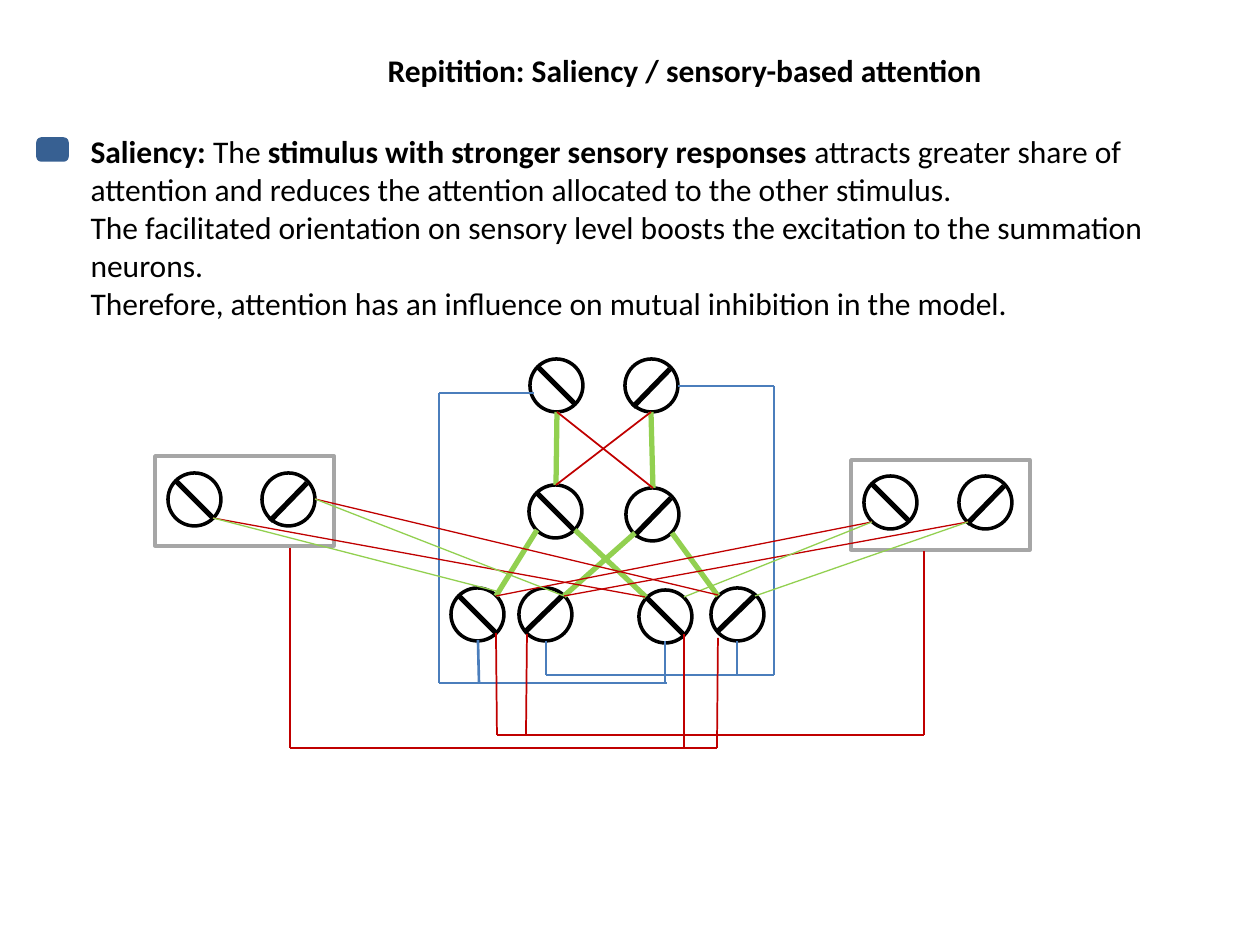
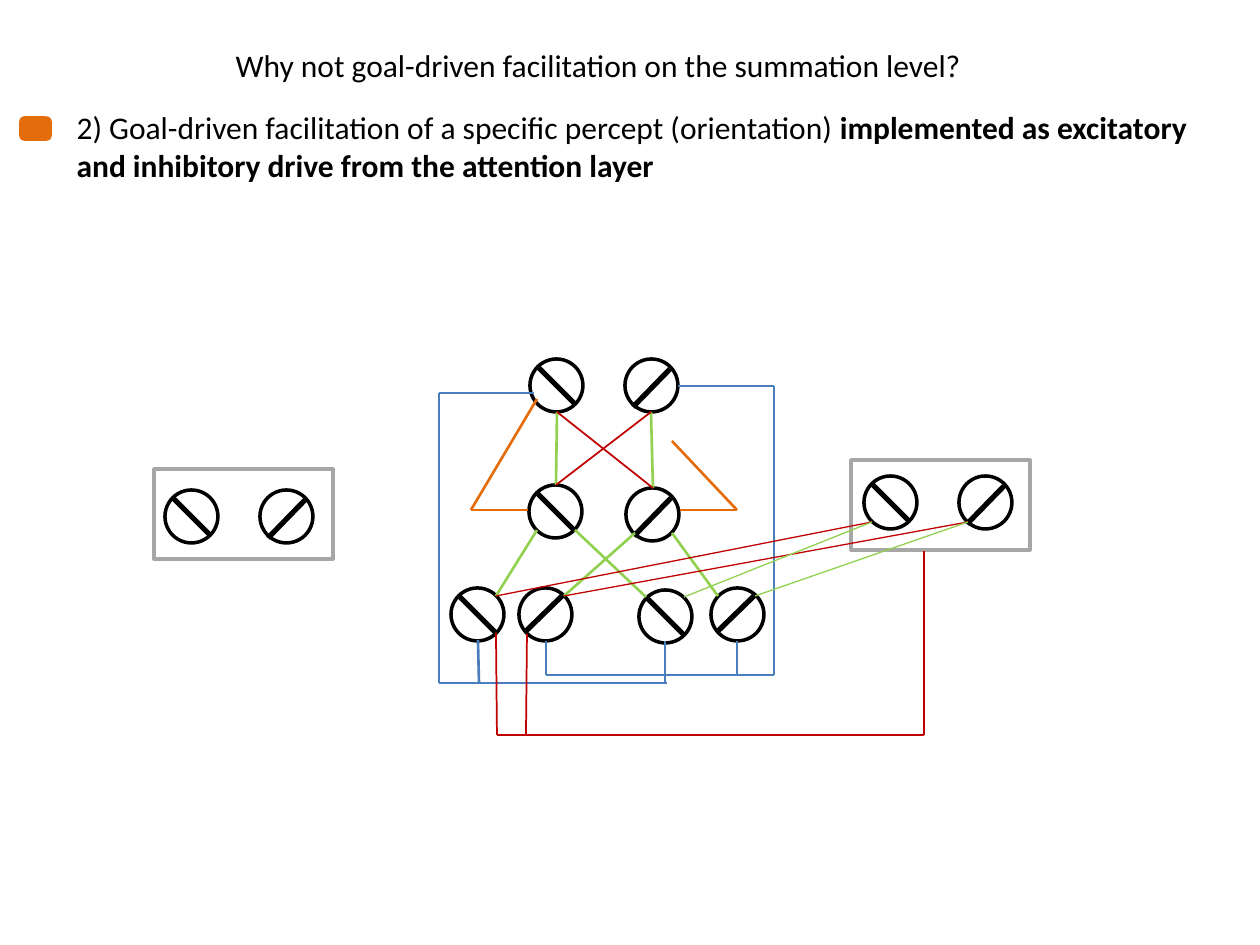
"""Build two slides on attention in a model of mutual inhibition."""
from dataclasses import dataclass
from typing import NamedTuple

from lxml.etree import SubElement
from pptx import Presentation
from pptx.dml.color import RGBColor
from pptx.enum.shapes import MSO_CONNECTOR as Connector, MSO_SHAPE as Shape
from pptx.enum.text import MSO_ANCHOR as Anchor, MSO_AUTO_SIZE as AutoSize, PP_ALIGN as Align
from pptx.oxml.ns import qn
from pptx.util import Emu, Pt

EMU_PER_PIXEL = 914400 / 126
BLACK = RGBColor(0x00, 0x00, 0x00)
WHITE = RGBColor(0xFF, 0xFF, 0xFF)
GREY = RGBColor(0xA6, 0xA6, 0xA6)
NAVY = RGBColor(0x37, 0x60, 0x92)
BLUE = RGBColor(0x4B, 0x7E, 0xBC)
RED = RGBColor(0xC0, 0x00, 0x00)
GREEN = RGBColor(0x92, 0xD0, 0x50)
ORANGE = RGBColor(0xE4, 0x6C, 0x0A)
FONT = {"name": "Calibri", "size": Pt(18)}
FRAME = {"vertical_anchor": Anchor.TOP, "auto_size": AutoSize.SHAPE_TO_FIT_TEXT}
PARAGRAPH = {"alignment": Align.LEFT, "space_before": Pt(0), "line_spacing": 1.0}
NEURON_SIZE = 53
PANEL_SIZE = (179, 90)
MARKER_SIZE = (29, 21)


class Box(NamedTuple):
    left: int
    top: int
    width: int
    height: int


class Line(NamedTuple):
    x1: int
    y1: int
    x2: int
    y2: int


class Span(NamedTuple):
    text: str
    bold: bool = False


FALLING = Line(8, 8, 45, 45)
RISING = Line(45, 10, 8, 48)
LOW_RISING = Line(45, 6, 6, 44)


@dataclass(frozen=True)
class Neuron:
    left: int
    top: int
    bar: Line


@dataclass(frozen=True)
class Wiring:
    color: RGBColor
    width: float
    lines: tuple[Line, ...]


@dataclass(frozen=True)
class Panel:
    left: int
    top: int
    neurons: tuple[Neuron, Neuron]


@dataclass(frozen=True)
class Page:
    title: Span
    title_box: Box
    body: tuple[tuple[Span, ...], ...]
    body_box: Box
    marker: tuple[int, int]
    marker_color: RGBColor
    left_panel: Panel
    excitation_width: float
    extra: tuple[Wiring, ...]


CORE_NEURONS = (
    Neuron(530, 359, FALLING), Neuron(625, 359, RISING),
    Neuron(529, 485, FALLING), Neuron(626, 488, RISING),
    Neuron(451, 588, FALLING), Neuron(639, 590, FALLING),
    Neuron(519, 588, LOW_RISING), Neuron(711, 588, LOW_RISING),
)
RIGHT_PANEL = Panel(851, 460, (Neuron(864, 476, FALLING), Neuron(959, 476, RISING)))
EXCITATION = (
    Line(496, 596, 537, 530), Line(564, 596, 635, 533), Line(575, 530, 646, 597),
    Line(718, 596, 672, 533), Line(556, 485, 557, 412), Line(653, 488, 651, 412),
)
SHARED_WIRING = (
    Wiring(BLUE, 1.5, (
        Line(774, 386, 774, 675), Line(774, 675, 737, 675), Line(737, 675, 737, 641),
        Line(737, 675, 546, 675), Line(678, 386, 774, 386), Line(546, 641, 546, 675),
        Line(439, 393, 439, 683), Line(439, 683, 486, 683), Line(479, 683, 478, 640),
        Line(476, 683, 667, 683), Line(534, 393, 439, 393), Line(665, 641, 665, 683),
    )),
    Wiring(RED, 1, (
        Line(924, 735, 497, 735), Line(496, 633, 497, 735), Line(527, 634, 526, 735),
        Line(924, 551, 924, 735), Line(653, 488, 557, 412), Line(651, 412, 556, 485),
    )),
    Wiring(RED, 0.75, (Line(564, 596, 968, 522), Line(496, 596, 872, 522))),
    Wiring(GREEN, 0.75, (Line(684, 597, 872, 522), Line(755, 596, 968, 522))),
)
LEFT_PANEL_WIRING = (
    Wiring(RED, 1, (
        Line(290, 748, 717, 748), Line(718, 638, 717, 748),
        Line(684, 634, 684, 748), Line(290, 548, 290, 748),
    )),
    Wiring(RED, 0.75, (Line(315, 499, 718, 595), Line(213, 518, 645, 597))),
    Wiring(GREEN, 0.75, (Line(213, 518, 496, 591), Line(315, 499, 564, 596))),
)
GOAL_WIRING = (
    Wiring(ORANGE, 1.5, (
        Line(672, 441, 737, 510), Line(737, 510, 680, 510),
        Line(537, 399, 471, 510), Line(471, 510, 528, 510),
    )),
)
PAGES = (
    Page(
        title=Span("Repitition: Saliency / sensory-based attention", True),
        title_box=Box(375, 45, 626, 50),
        body=(
            (Span("Saliency:", True), Span(" The "),
             Span("stimulus with stronger sensory responses ", True),
             Span("attracts greater share of attention and reduces the attention "
                  "allocated to the other stimulus.")),
            (Span("The facilitated orientation on sensory level boosts the excitation "
                  "to the summation neurons."),),
            (Span("Therefore, attention has an influence on mutual inhibition in the model."),),
        ),
        body_box=Box(78, 126, 1166, 204),
        marker=(38, 139),
        marker_color=NAVY,
        left_panel=Panel(155, 456, (Neuron(168, 473, FALLING), Neuron(262, 473, RISING))),
        excitation_width=3,
        extra=LEFT_PANEL_WIRING,
    ),
    Page(
        title=Span("Why not goal-driven facilitation on the summation level?"),
        title_box=Box(223, 40, 752, 50),
        body=(
            (Span("2) Goal-driven facilitation of a specific percept (orientation) "),
             Span("implemented as excitatory and inhibitory drive from the attention layer", True)),
        ),
        body_box=Box(64, 102, 1166, 89),
        marker=(21, 118),
        marker_color=ORANGE,
        left_panel=Panel(154, 469, (Neuron(165, 490, FALLING), Neuron(260, 490, RISING))),
        excitation_width=1.5,
        extra=GOAL_WIRING,
    ),
)


def px(pixels: float) -> Emu:
    """Turn pixels into EMU."""
    return Emu(round(pixels * EMU_PER_PIXEL))


def apply(target, values: dict) -> None:
    """Set each named attribute on the target."""
    for name, value in values.items():
        setattr(target, name, value)


def write(holder, box: Box, paragraphs, wrap: bool) -> None:
    """Place a placeholder and fill it with formatted spans."""
    apply(holder, {name: px(value) for name, value in box._asdict().items()})
    frame = holder.text_frame
    apply(frame, FRAME | {"word_wrap": wrap})
    for index, spans in enumerate(paragraphs):
        para = frame.add_paragraph() if index else frame.paragraphs[0]
        apply(para, PARAGRAPH)
        properties = para._p.get_or_add_pPr()
        properties.set("marL", "0")
        properties.set("indent", "0")
        SubElement(properties, qn("a:buNone"))
        for span in spans:
            run = para.add_run()
            run.text = span.text
            apply(run.font, FONT | {"bold": span.bold})
            run.font.color.rgb = BLACK


def add_outline(shapes, kind: Shape, box: Box, color: RGBColor, fill: RGBColor | None = None) -> None:
    """Draw a preset shape with a two-point outline."""
    shape = shapes.add_shape(kind, *map(px, box))
    shape.shadow.inherit = False
    if fill is None:
        shape.fill.background()
    else:
        shape.fill.solid()
        shape.fill.fore_color.rgb = fill
    shape.line.color.rgb = color
    shape.line.width = Pt(2)


def add_line(shapes, line: Line, color: RGBColor, width: float) -> None:
    """Draw one straight connector."""
    connector = shapes.add_connector(Connector.STRAIGHT, *map(px, line))
    connector.line.color.rgb = color
    connector.line.width = Pt(width)
    SubElement(connector._element.spPr, qn("a:effectLst"))


def add_neuron(shapes, neuron: Neuron) -> None:
    """Draw a circle with its orientation bar as a group."""
    parts = shapes.add_group_shape().shapes
    left, top, bar = neuron.left, neuron.top, neuron.bar
    add_outline(parts, Shape.OVAL, Box(left, top, NEURON_SIZE, NEURON_SIZE), BLACK, WHITE)
    add_line(parts, Line(left + bar.x1, top + bar.y1, left + bar.x2, top + bar.y2), BLACK, 3)


def add_panel(shapes, panel: Panel) -> None:
    """Draw a pair of attention neurons with their frame."""
    for neuron in panel.neurons:
        add_neuron(shapes, neuron)
    add_outline(shapes, Shape.RECTANGLE, Box(panel.left, panel.top, *PANEL_SIZE), GREY)


def add_page(deck, page: Page) -> None:
    """Add one slide with its text and network."""
    slide = deck.slides.add_slide(deck.slide_layouts[1])
    shapes = slide.shapes
    write(shapes.title, page.title_box, ((page.title,),), False)
    write(slide.placeholders[1], page.body_box, page.body, True)
    add_outline(shapes, Shape.ROUNDED_RECTANGLE, Box(*page.marker, *MARKER_SIZE),
                page.marker_color, page.marker_color)
    for neuron in CORE_NEURONS:
        add_neuron(shapes, neuron)
    for panel in (page.left_panel, RIGHT_PANEL):
        add_panel(shapes, panel)
    excitation = Wiring(GREEN, page.excitation_width, EXCITATION)
    for wiring in (excitation, *SHARED_WIRING, *page.extra):
        for line in wiring.lines:
            add_line(shapes, line, wiring.color, wiring.width)


def main() -> None:
    """Build and save the deck."""
    deck = Presentation()
    deck.slide_width, deck.slide_height = px(1260), px(945)
    for page in PAGES:
        add_page(deck, page)
    deck.save("out.pptx")


main()
